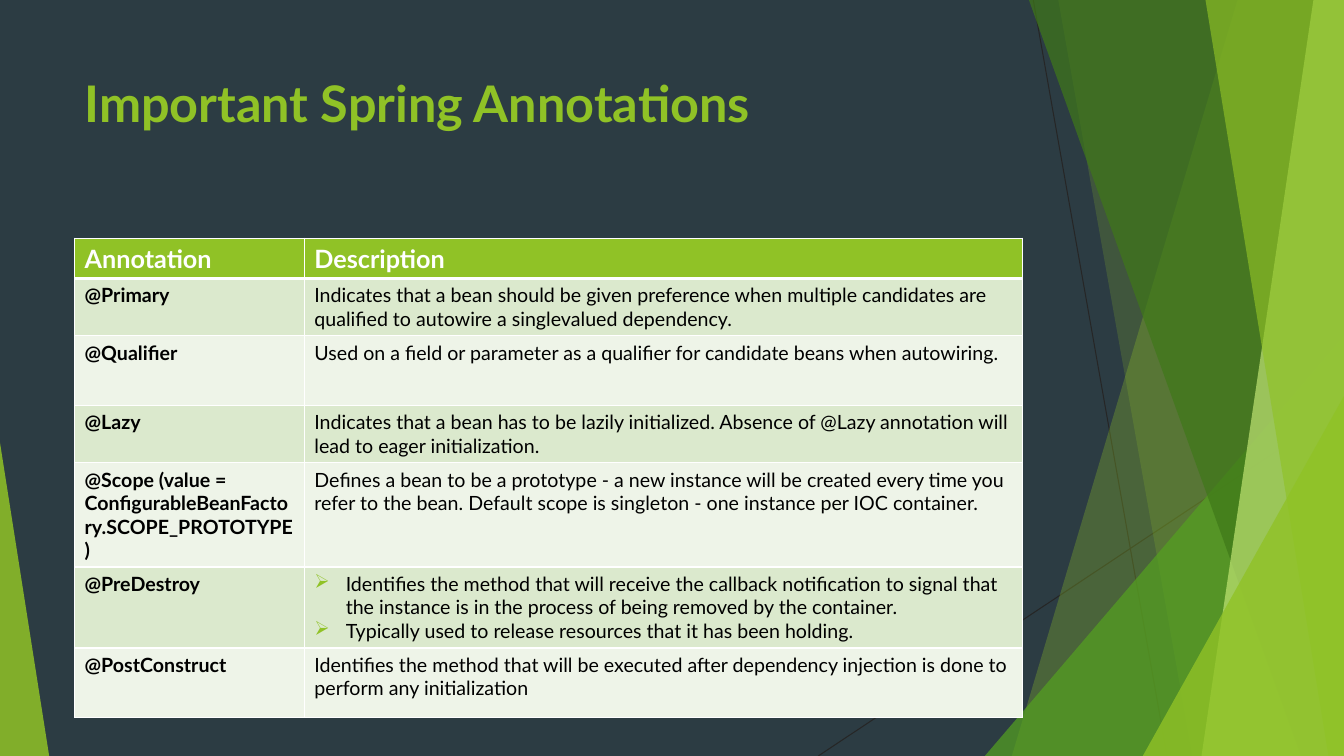
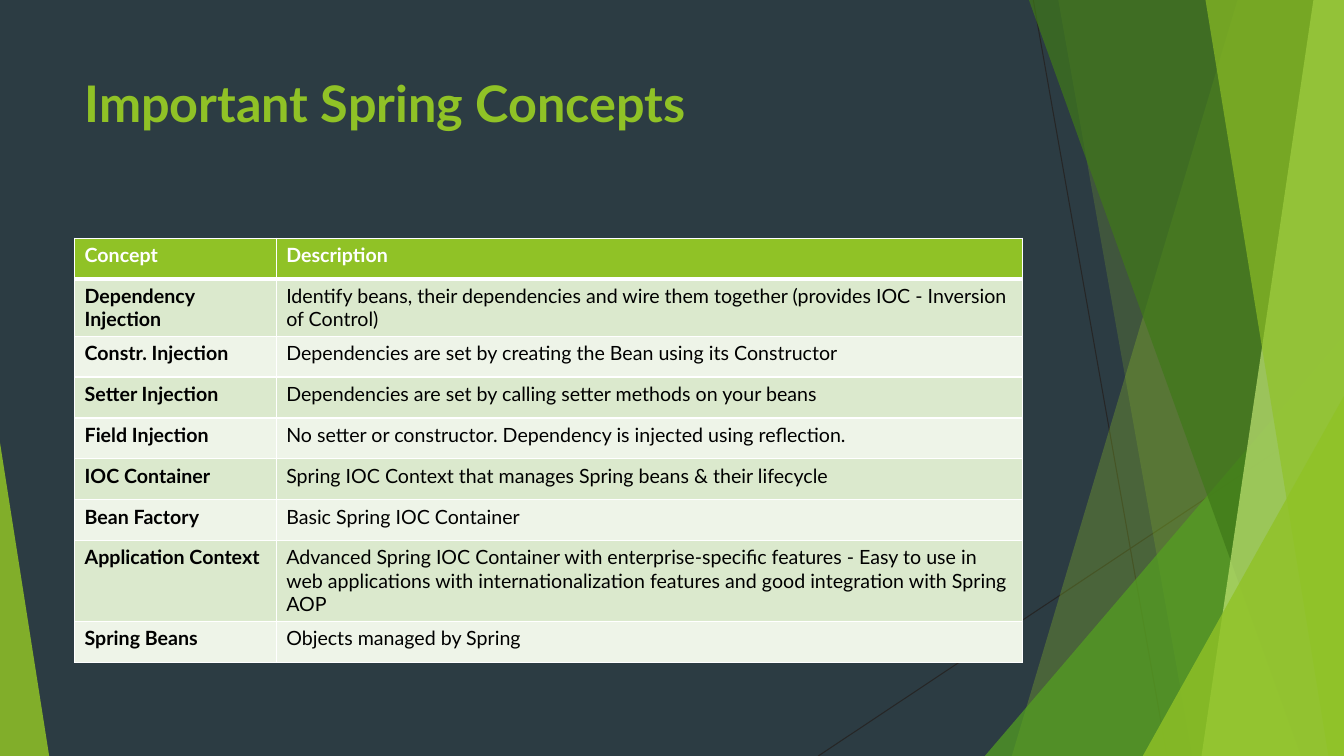
import lxml.etree
import pptx
import pptx.dml.color
import pptx.enum.shapes
import pptx.oxml.ns
import pptx.util

Cm = pptx.util.Cm
Pt = pptx.util.Pt
RGBColor = pptx.dml.color.RGBColor
SHAPE = pptx.enum.shapes.MSO_SHAPE
STRAIGHT = pptx.enum.shapes.MSO_CONNECTOR.STRAIGHT
qn = pptx.oxml.ns.qn

SLATE = RGBColor(0x2C, 0x3C, 0x43)
LIME = RGBColor(0x90, 0xC2, 0x26)
GREEN = RGBColor(0x54, 0xA0, 0x21)
FOREST = RGBColor(0x3F, 0x78, 0x19)
PALE = RGBColor(0xC0, 0xE4, 0x74)
INK = RGBColor(0x26, 0x26, 0x26)
BLACK = RGBColor(0, 0, 0)
WHITE = RGBColor(0xFF, 0xFF, 0xFF)
ODD = RGBColor(0xDB, 0xE9, 0xCD)
EVEN = RGBColor(0xEE, 0xF4, 0xE8)

FONT = "Lato"
WIDE, HIGH = 33.87, 19.05
LEFT, SPAN = 1.88, 23.88
TABLE_TOP = 6
BODY_SIZE = 14
INDENT = 0.79

NOTES = [
    ("Annotation", "Description"),
    ("@Primary", "Indicates that a bean should be given preference when multiple "
     "candidates are qualified to autowire a singlevalued dependency."),
    ("@Qualifier", "Used on a field or parameter as a qualifier for candidate beans "
     "when autowiring."),
    ("@Lazy", "Indicates that a bean has to be lazily initialized. Absence of @Lazy "
     "annotation will lead to eager initialization."),
    ("@Scope (value = ConfigurableBeanFactory.SCOPE_PROTOTYPE)",
     "Defines a bean to be a prototype - a new instance will be created every time "
     "you refer to the bean. Default scope is singleton - one instance per IOC "
     "container."),
    ("@PreDestroy", [
        "Identifies the method that will receive the callback notification to signal "
        "that the instance is in the process of being removed by the container.",
        "Typically used to release resources that it has been holding."]),
    ("@PostConstruct", "Identifies the method that will be executed after dependency "
     "injection is done to perform any initialization"),
]
NOTE_ROWS = [1, 1.44, 1.76, 1.44, 2.63, 2.04, 1.76]

TERMS = [
    ("Concept", "Description"),
    ("Dependency Injection", "Identify beans, their dependencies and wire them "
     "together (provides IOC - Inversion of Control)"),
    ("Constr. Injection",
     "Dependencies are set by creating the Bean using its Constructor"),
    ("Setter Injection", "Dependencies are set by calling setter methods on your beans"),
    ("Field Injection",
     "No setter or constructor. Dependency is injected using reflection."),
    ("IOC Container", "Spring IOC Context that manages Spring beans & their lifecycle"),
    ("Bean Factory", "Basic Spring IOC Container"),
    ("Application Context", "Advanced Spring IOC Container with enterprise-specific "
     "features - Easy to use in web applications with internationalization features "
     "and good integration with Spring AOP"),
    ("Spring Beans", "Objects managed by Spring"),
]
TERM_ROWS = [1.03, 1.44] + [1.03] * 5 + [2.04, 1.03]


def add_node(parent, tag, **attrs):
    return lxml.etree.SubElement(parent, qn(tag), attrs)


def add_run(para, text, size, color, bold):
    run = para.add_run()
    run.text = text
    font = run.font
    font.name, font.size, font.bold = FONT, Pt(size), bold
    font.color.rgb = color


def paint(shape, color, alpha):
    shape.shadow.inherit = False
    shape.fill.solid()
    shape.fill.fore_color.rgb = color
    shape.line.fill.background()
    tint = shape._element.spPr.find(qn("a:solidFill"))[0]
    add_node(tint, "a:alpha", val=str(alpha * 1000))


def add_line(slide, *ends):
    line = slide.shapes.add_connector(STRAIGHT, *map(Cm, ends))
    line.line.color.rgb = INK
    line.line.width = Pt(0.75)
    add_node(line._element.spPr, "a:effectLst")


def add_band(slide, head, foot, color, alpha):
    pen = slide.shapes.build_freeform(Cm(head), 0)
    corners = [(WIDE, 0), (WIDE, HIGH), (foot, HIGH)]
    pen.add_line_segments([(Cm(x), Cm(y)) for x, y in corners])
    paint(pen.convert_to_shape(), color, alpha)


def add_wedge(slide, left, top, width, peak, color, alpha):
    wedge = slide.shapes.add_shape(SHAPE.ISOSCELES_TRIANGLE, Cm(left), Cm(top),
                                   Cm(width), Cm(HIGH - top))
    wedge.adjustments[0] = peak
    paint(wedge, color, alpha)


def add_decor(slide):
    add_line(slide, 26.04, 0, 29.41, HIGH)
    add_line(slide, WIDE, 10.24, 20.62, HIGH)
    add_band(slide, 31.19, 25.5, LIME, 30)
    add_band(slide, 26.67, 30.05, LIME, 20)
    add_wedge(slide, 24.82, 8.46, WIDE - 24.82, 1, GREEN, 72)
    add_band(slide, 25.93, 32.79, FOREST, 70)
    add_band(slide, 33.1, 30.28, PALE, 70)
    add_band(slide, 30.38, 33.48, LIME, 65)
    add_wedge(slide, 28.8, 9.98, WIDE - 28.8, 1, LIME, 80)
    add_wedge(slide, 0, 11.15, 1.24, 0, LIME, 85)


def add_title(slide, text):
    box = slide.shapes.add_textbox(Cm(LEFT), Cm(1.7), Cm(SPAN), Cm(3.66))
    box.text_frame.word_wrap = True
    add_run(box.text_frame.paragraphs[0], text, 36, LIME, True)


def set_edges(cell, top, bottom):
    props = cell._tc.get_or_add_tcPr()
    for side, width in (("L", 1), ("R", 1), ("T", top), ("B", bottom)):
        edge = add_node(props, "a:ln" + side, w=str(Pt(width)))
        fill = add_node(edge, "a:solidFill")
        add_node(fill, "a:srgbClr", val=str(WHITE))


def set_bullet(para):
    props = para._p.get_or_add_pPr()
    props.set("marL", str(Cm(INDENT)))
    props.set("indent", str(-Cm(INDENT)))
    tint = add_node(props, "a:buClr")
    add_node(tint, "a:srgbClr", val=str(LIME))
    add_node(props, "a:buChar", char="➢")


def fill_cell(cell, text, fill, size, color, bold):
    cell.fill.solid()
    cell.fill.fore_color.rgb = fill
    listed = isinstance(text, list)
    frame = cell.text_frame
    for i, item in enumerate(text if listed else [text]):
        para = frame.add_paragraph() if i else frame.paragraphs[0]
        if listed:
            set_bullet(para)
        add_run(para, item, size, color, bold)


def add_grid(slide, rows, heights, first, head_size):
    grid = slide.shapes.add_table(len(rows), 2, Cm(LEFT), Cm(TABLE_TOP),
                                  Cm(SPAN), Cm(sum(heights))).table
    grid.columns[0].width = Cm(first)
    grid.columns[1].width = Cm(SPAN - first)
    for r, (row, height) in enumerate(zip(rows, heights)):
        grid.rows[r].height = Cm(height)
        for c, text in enumerate(row):
            cell = grid.cell(r, c)
            set_edges(cell, 3 if r == 1 else 1, 3 if r == 0 else 1)
            if r == 0:
                fill_cell(cell, text, LIME, head_size, WHITE, True)
            else:
                fill_cell(cell, text, ODD if r % 2 else EVEN, BODY_SIZE, BLACK, c == 0)


def main():
    deck = pptx.Presentation()
    deck.slide_width, deck.slide_height = Cm(WIDE), Cm(HIGH)
    back = deck.slide_master.background.fill
    back.solid()
    back.fore_color.rgb = SLATE
    pages = [
        ("Important Spring Annotations", NOTES, NOTE_ROWS, 5.79, 18),
        ("Important Spring Concepts", TERMS, TERM_ROWS, 5.08, 14),
    ]
    for title, *grid in pages:
        slide = deck.slides.add_slide(deck.slide_layouts[6])
        add_decor(slide)
        add_title(slide, title)
        add_grid(slide, *grid)
    deck.save("out.pptx")


if __name__ == "__main__":
    main()
